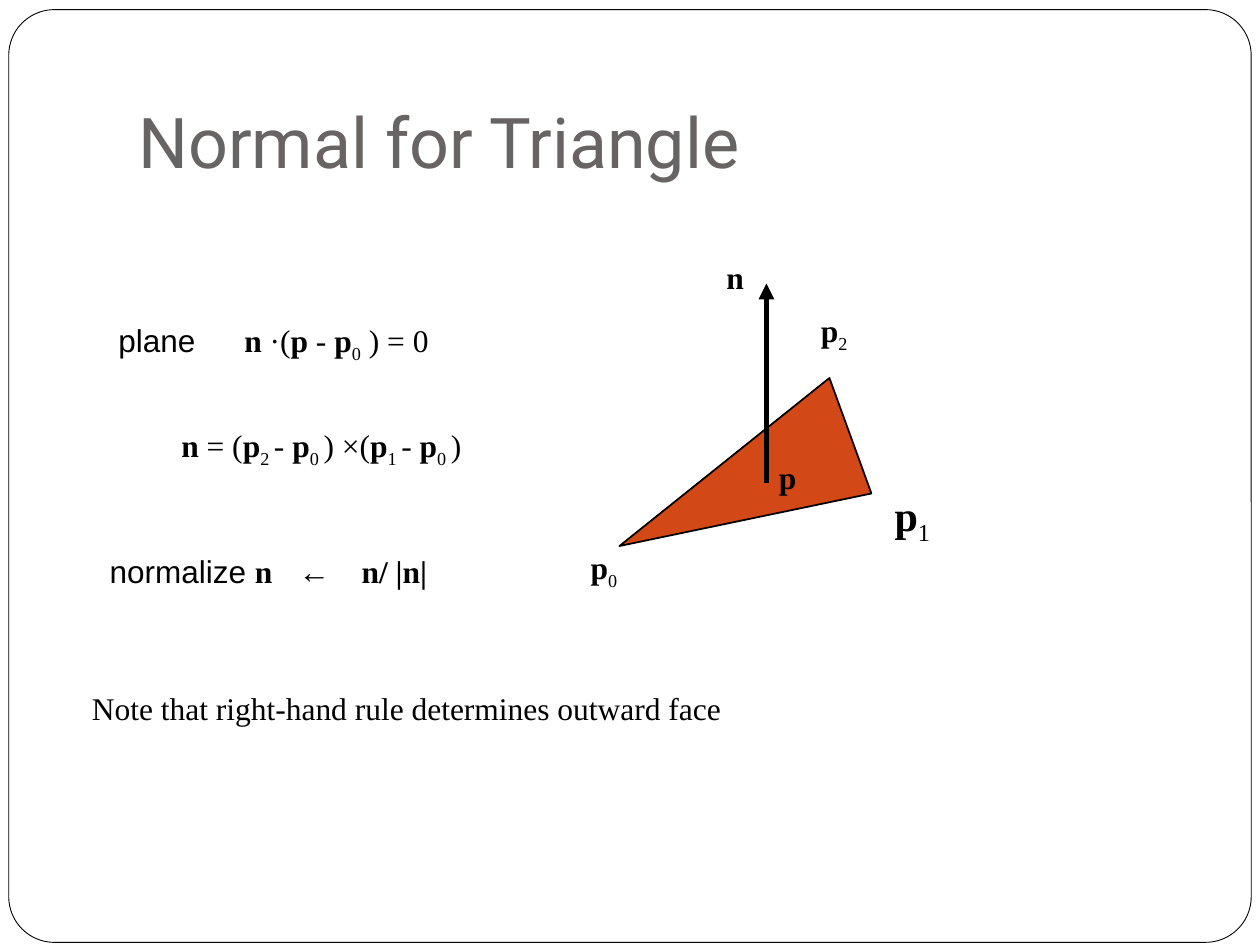
from lxml.etree import SubElement
from pptx import Presentation
from pptx.dml.color import RGBColor
from pptx.enum.shapes import MSO_CONNECTOR, MSO_SHAPE
from pptx.enum.text import MSO_ANCHOR, MSO_AUTO_SIZE, PP_ALIGN
from pptx.oxml.ns import qn
from pptx.util import Pt

SERIF = "Times New Roman"
STYLES = {
    "sans": {"name": "Arial", "bold": False},
    "plain": {"name": SERIF, "bold": False},
    "bold": {"name": SERIF, "bold": True},
    "sub": {"name": SERIF, "bold": False},
}


def color(value):
    return RGBColor.from_string(value)


def place(shape, box):
    for name, value in zip(("left", "top", "width", "height"), box):
        setattr(shape, name, Pt(value))


def paint(shape, fill, width):
    shape.shadow.inherit = False
    shape.fill.solid()
    shape.fill.fore_color.rgb = color(fill)
    shape.line.color.rgb = color("000000")
    shape.line.width = Pt(width)


def write(shape, spans, size=18, indent=0, tabs=()):
    frame = shape.text_frame
    settings = {"word_wrap": True, "auto_size": MSO_AUTO_SIZE.NONE,
                "vertical_anchor": MSO_ANCHOR.TOP}
    for name, value in settings.items():
        setattr(frame, name, value)
    para = frame.paragraphs[0]
    para.alignment = PP_ALIGN.LEFT
    properties = para._p.get_or_add_pPr()
    properties.set("marL", str(Pt(indent)))
    properties.set("indent", "0")
    SubElement(properties, qn("a:buNone"))
    if tabs:
        stops = SubElement(properties, qn("a:tabLst"))
        for stop in tabs:
            SubElement(stops, qn("a:tab"), pos=str(Pt(stop)), algn="l")
    for text, style in spans:
        span = para.add_run()
        span.text = text
        for name, value in {"size": Pt(size), **STYLES[style]}.items():
            setattr(span.font, name, value)
        span.font.color.rgb = color("000000")
        if style == "sub":
            span.font._element.set("baseline", "-25000")


def add_text(page, box, spans, **options):
    shape = page.shapes.add_textbox(*map(Pt, box))
    write(shape, spans, **options)


def add_frame(page, box):
    frame = page.shapes.add_shape(MSO_SHAPE.ROUNDED_RECTANGLE, *map(Pt, box))
    frame.adjustments[0] = 0.049
    paint(frame, "FFFFFF", 0.5)
    page.shapes.title.element.addprevious(frame.element)


def add_title(page, box):
    title = page.shapes.title
    place(title, box)
    frame = title.text_frame
    frame.text = "Normal for Triangle"
    settings = {"vertical_anchor": MSO_ANCHOR.BOTTOM, "margin_bottom": Pt(7.2),
                "auto_size": MSO_AUTO_SIZE.NONE}
    for name, value in settings.items():
        setattr(frame, name, value)
    para = frame.paragraphs[0]
    para.alignment = PP_ALIGN.LEFT
    for name, value in {"size": Pt(40), "name": "Roboto"}.items():
        setattr(para.runs[0].font, name, value)
    para.runs[0].font.color.rgb = color("696464")


def add_equations(page, box):
    left, top, width, height = box
    plane = [("plane\t", "sans"), ("n ", "bold"), ("·(", "plain"), ("p", "bold"),
             (" - ", "plain"), ("p", "bold"), ("0", "sub"), (" ) = 0", "plain")]
    normal = [("n", "bold"), (" = (", "plain"), ("p", "bold"), ("2 ", "sub"),
              ("- ", "plain"), ("p", "bold"), ("0 ", "sub"), (") ×(", "plain"),
              ("p", "bold"), ("1 ", "sub"), ("- ", "plain"), ("p", "bold"),
              ("0 ", "sub"), (")", "plain")]
    normalize = [("normalize ", "sans"), ("n\t←\tn/ |n|", "bold")]
    note = [("Note that right-hand rule determines outward face", "plain")]
    rows = [
        (60.5, 0, 243, 36, plane, {"tabs": (66.5,)}),
        (0, 60, 372, 65, normal, {"indent": 96.5}),
        (55.5, 132, 242, 36, normalize, {"tabs": (108, 133)}),
        (45.4, 210, 494, 36, note, {}),
    ]
    for x, y, row_width, row_height, spans, options in rows:
        add_text(page, (left + x, top + y, row_width, row_height), spans, **options)


def add_triangle(page, box):
    left, top, width, height = box
    corners = [(Pt(left + x), Pt(top + y)) for x, y in ((24, 168), (144, 72), (168, 138))]
    builder = page.shapes.build_freeform(*corners[0])
    builder.add_line_segments(corners[1:], close=True)
    paint(builder.convert_to_shape(), "D34817", 1)

    arrow = page.shapes.add_connector(
        MSO_CONNECTOR.STRAIGHT, Pt(left + 108), Pt(top + 132), Pt(left + 108), Pt(top + 18))
    arrow.line.color.rgb = color("000000")
    arrow.line.width = Pt(3)
    SubElement(arrow.line._get_or_add_ln(), qn("a:tailEnd"), type="triangle")
    SubElement(arrow.element.spPr, qn("a:effectLst"))

    labels = [("p", "0", 0.5, 165.6, 36), ("p", "2", 132, 30, 36),
              ("n", "", 78, 0, 28), ("p", "", 108, 114, 28)]
    for letter, index, x, y, label_width in labels:
        spans = [(letter, "bold")] + ([(index, "sub")] if index else [])
        add_text(page, (left + x, top + y, label_width, 36), spans)

    body = page.placeholders[1]
    place(body, (left + 174, top + 132, 36, 42))
    write(body, [("p", "bold"), ("1", "sub")], size=24)


def main():
    deck = Presentation()
    deck.slide_width, deck.slide_height = Pt(720), Pt(540)
    page = deck.slides.add_slide(deck.slide_layouts[1])
    add_frame(page, (5, 5.5, 710, 533))
    add_title(page, (72, 21.6, 612, 90))
    add_triangle(page, (330, 144, 210, 202))
    add_equations(page, (0, 180, 540, 246))
    deck.save("out.pptx")


if __name__ == "__main__":
    main()
